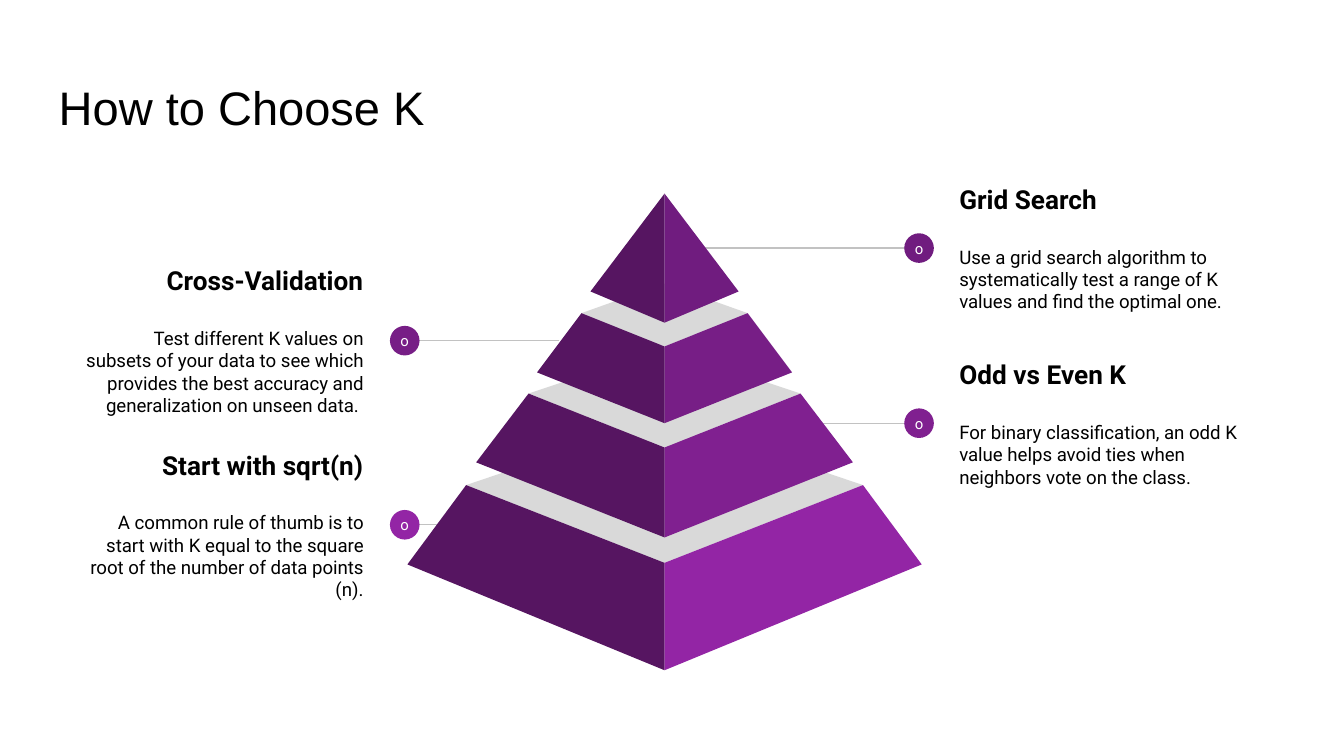
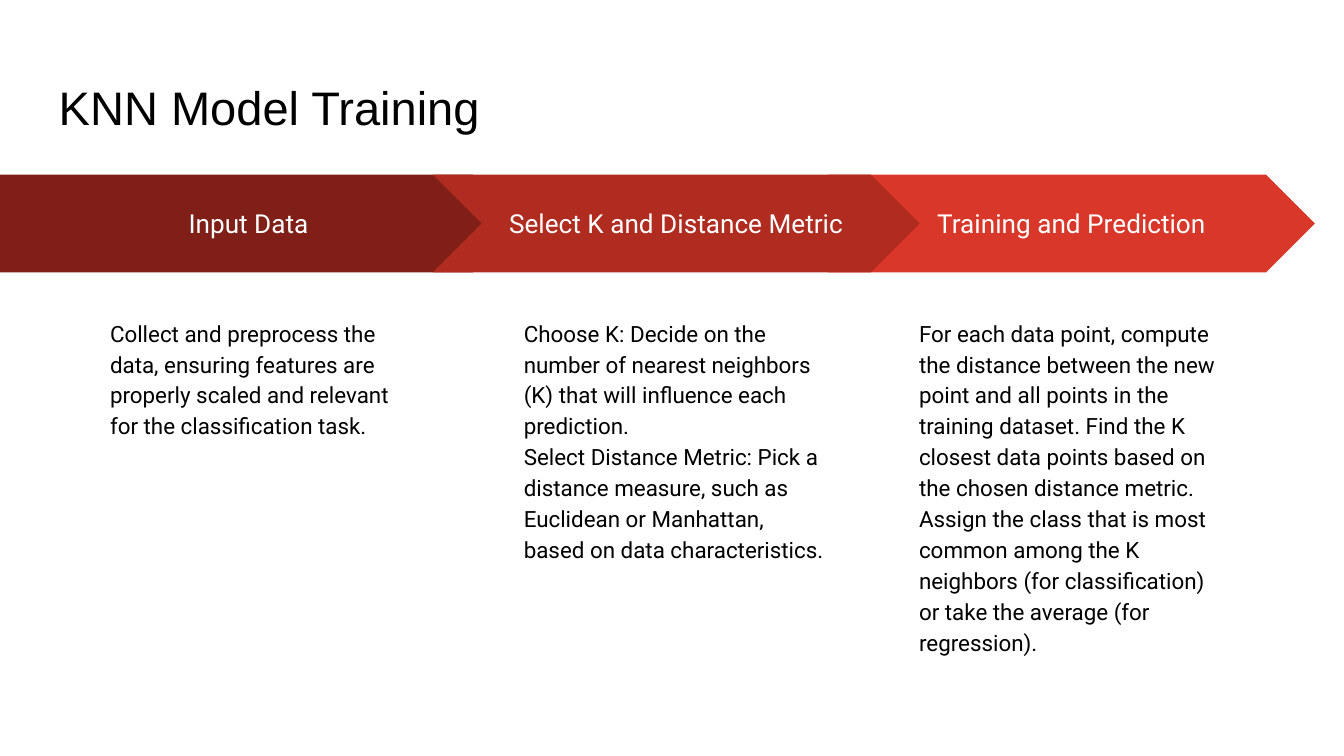
from dataclasses import dataclass

from lxml import etree
from pptx import Presentation
from pptx.dml.color import RGBColor
from pptx.enum.shapes import MSO_CONNECTOR, MSO_SHAPE
from pptx.enum.text import MSO_ANCHOR, MSO_AUTO_SIZE, PP_ALIGN
from pptx.oxml.ns import qn
from pptx.util import Cm, Pt

STRAIGHT = MSO_CONNECTOR.STRAIGHT
OVAL, CHEVRON, PENTAGON = MSO_SHAPE.OVAL, MSO_SHAPE.CHEVRON, MSO_SHAPE.PENTAGON
TOP, MIDDLE = MSO_ANCHOR.TOP, MSO_ANCHOR.MIDDLE
LEFT, CENTER, RIGHT = PP_ALIGN.LEFT, PP_ALIGN.CENTER, PP_ALIGN.RIGHT

COLORS = {
    "ink": "000000", "paper": "FFFFFF", "rule": "C2C2C2",
    "tier_top": "D9D9D9", "tier_shade": "561561",
    "plum_1": "701C7F", "plum_2": "771E86", "plum_3": "802090", "plum_4": "9325A5",
    "red_1": "801F17", "red_2": "B02B20", "red_3": "D83729",
}
TITLE_FONT, BODY_FONT = "Arial", "Roboto"
INSET = 0.25

# Pyramid and callout geometry, in centimetres
AXIS_X = 12.56
DOT_SIZE = 0.56
NOTE_WIDTH, NOTE_HEIGHT = 5.77, 2.92
HEADING_GAP = 16.4

# Process geometry, in centimetres
ARROW_TOP, ARROW_HEIGHT = 3.3, 1.85
DETAIL_TOP, DETAIL_WIDTH, DETAIL_HEIGHT = 5.72, 6.22, 7.26


@dataclass
class Side:
    note_left: float
    dot_x: float
    align: PP_ALIGN


@dataclass
class Callout:
    heading: str
    advice: str
    side: Side
    center_y: float
    tier_x: float
    color: str


@dataclass
class Tier:
    """Half widths from the axis, and heights of the visible corners."""
    half_top: float
    half_bottom: float
    back_y: float
    top_outer_y: float
    top_front_y: float
    bottom_outer_y: float
    bottom_front_y: float
    color: str


@dataclass
class Step:
    label: str
    details: list[str]
    preset: MSO_SHAPE
    left: float
    width: float
    detail_left: float
    color: str


LEFT_SIDE = Side(1.35, 7.65, RIGHT)
RIGHT_SIDE = Side(17.88, 17.37, LEFT)

CALLOUTS = [
    Callout("Grid Search",
            "Use a grid search algorithm to systematically test a range of K values "
            "and find the optimal one.",
            RIGHT_SIDE, 4.69, 13.31, "plum_1"),
    Callout("Cross-Validation",
            "Test different K values on subsets of your data to see which provides "
            "the best accuracy and generalization on unseen data. ",
            LEFT_SIDE, 6.44, 10.57, "plum_2"),
    Callout("Odd vs Even K",
            "For binary classification, an odd K value helps avoid ties when "
            "neighbors vote on the class.",
            RIGHT_SIDE, 8.0, 15.49, "plum_3"),
    Callout("Start with sqrt(n)",
            "A common rule of thumb is to start with K equal to the square root of "
            "the number of data points (n).",
            LEFT_SIDE, 9.92, 10.57, "plum_4"),
]

# From the base up, so that each tier stands on the one below
TIERS = [
    Tier(3.75, 4.86, 7.9, 9.17, 10.64, 10.67, 12.67, "plum_4"),
    Tier(2.57, 3.56, 6.58, 7.44, 8.46, 8.74, 10.16, "plum_3"),
    Tier(1.57, 2.41, 5.36, 5.92, 6.55, 7.04, 8.0, "plum_2"),
    Tier(0, 1.4, 3.66, 3.66, 3.66, 5.51, 6.1, "plum_1"),
]

# From back to front: the middle arrow overlaps both neighbours
STEPS = [
    Step("Training and Prediction",
         ["For each data point, compute the distance between the new point and all "
          "points in the training dataset. Find the K closest data points based on "
          "the chosen distance metric. Assign the class that is most common among "
          "the K neighbors (for classification) or take the average (for regression)."],
         CHEVRON, 15.65, 9.2, 17.12, "red_3"),
    Step("Input Data",
         ["Collect and preprocess the data, ensuring features are properly scaled "
          "and relevant for the classification task."],
         PENTAGON, 0, 9.86, 1.83, "red_1"),
    Step("Select K and Distance Metric",
         ["Choose K: Decide on the number of nearest neighbors (K) that will "
          "influence each prediction.",
          "Select Distance Metric: Pick a distance measure, such as Euclidean or "
          "Manhattan, based on data characteristics."],
         CHEVRON, 8.18, 9.2, 9.65, "red_2"),
]


def rgb(name: str) -> RGBColor:
    return RGBColor.from_string(COLORS[name])


def set_frame(frame, anchor: MSO_ANCHOR, inset: float = INSET, wrap: bool = True) -> None:
    frame.auto_size = MSO_AUTO_SIZE.NONE
    frame.word_wrap = wrap
    frame.vertical_anchor = anchor
    frame.margin_left = frame.margin_right = Cm(inset)
    frame.margin_top = frame.margin_bottom = Cm(inset)


def write(paragraph, text: str, size: float, color: str = "ink", align: PP_ALIGN = LEFT,
          bold: bool = False, font: str = BODY_FONT) -> None:
    paragraph.alignment = align
    run = paragraph.add_run()
    run.text = text
    run.font.name = font
    run.font.size = Pt(size)
    run.font.bold = bold
    run.font.color.rgb = rgb(color)


def paint(shape, color: str) -> None:
    shape.shadow.inherit = False
    shape.fill.solid()
    shape.fill.fore_color.rgb = rgb(color)
    shape.line.fill.background()


def add_titled_slide(prs, text: str):
    slide = prs.slides.add_slide(prs.slide_layouts[5])
    title = slide.shapes.title
    title.left, title.top, title.width, title.height = Cm(0.86), Cm(1.24), Cm(23.67), Cm(1.6)
    set_frame(title.text_frame, TOP)
    write(title.text_frame.paragraphs[0], text, 25.2, font=TITLE_FONT)
    return slide


def add_frame(slide, left: float, top: float, width: float, height: float,
              anchor: MSO_ANCHOR):
    frame = slide.shapes.add_textbox(Cm(left), Cm(top), Cm(width), Cm(height)).text_frame
    set_frame(frame, anchor)
    return frame


def add_callout(slide, callout: Callout) -> None:
    side, y = callout.side, callout.center_y
    note = add_frame(slide, side.note_left, y - NOTE_HEIGHT / 2, NOTE_WIDTH, NOTE_HEIGHT,
                     MIDDLE)
    heading = note.paragraphs[0]
    heading.space_after = Pt(HEADING_GAP)
    write(heading, callout.heading, 14, align=side.align, bold=True)
    write(note.add_paragraph(), callout.advice, 10, align=side.align)

    leader = slide.shapes.add_connector(STRAIGHT, Cm(callout.tier_x), Cm(y),
                                        Cm(side.dot_x), Cm(y))
    leader.line.color.rgb = rgb("rule")
    leader.line.width = Pt(0.75)
    etree.SubElement(leader.element.spPr, qn("a:effectLst"))

    dot = slide.shapes.add_shape(OVAL, Cm(side.dot_x - DOT_SIZE / 2), Cm(y - DOT_SIZE / 2),
                                 Cm(DOT_SIZE), Cm(DOT_SIZE))
    paint(dot, callout.color)
    set_frame(dot.text_frame, MIDDLE, inset=0, wrap=False)
    write(dot.text_frame.paragraphs[0], "o", 8, "paper", CENTER)


def add_face(slide, corners: list[tuple[float, float]], color: str) -> None:
    points = [(Cm(x), Cm(y)) for x, y in dict.fromkeys(corners)]
    builder = slide.shapes.build_freeform(*points[0])
    builder.add_line_segments(points[1:], close=True)
    paint(builder.convert_to_shape(), color)


def add_tier(slide, tier: Tier) -> None:
    if tier.half_top:
        add_face(slide, [(AXIS_X - tier.half_top, tier.top_outer_y),
                         (AXIS_X, tier.top_front_y),
                         (AXIS_X + tier.half_top, tier.top_outer_y),
                         (AXIS_X, tier.back_y)], "tier_top")
    for direction, color in ((-1, "tier_shade"), (1, tier.color)):
        add_face(slide, [(AXIS_X + direction * tier.half_top, tier.top_outer_y),
                         (AXIS_X, tier.top_front_y),
                         (AXIS_X, tier.bottom_front_y),
                         (AXIS_X + direction * tier.half_bottom, tier.bottom_outer_y)],
                 color)


def add_step(slide, step: Step) -> None:
    arrow = slide.shapes.add_shape(step.preset, Cm(step.left), Cm(ARROW_TOP),
                                   Cm(step.width), Cm(ARROW_HEIGHT))
    arrow.adjustments[0] = 0.5
    paint(arrow, step.color)
    set_frame(arrow.text_frame, MIDDLE)
    write(arrow.text_frame.paragraphs[0], step.label, 14, "paper", CENTER)

    frame = add_frame(slide, step.detail_left, DETAIL_TOP, DETAIL_WIDTH, DETAIL_HEIGHT, TOP)
    for index, detail in enumerate(step.details):
        paragraph = frame.add_paragraph() if index else frame.paragraphs[0]
        paragraph.line_spacing = 1.15
        write(paragraph, detail, 12)


def main() -> None:
    prs = Presentation()
    prs.slide_width, prs.slide_height = Cm(25.4), Cm(14.29)

    # Choosing K: callouts around a pyramid
    choosing = add_titled_slide(prs, "How to Choose K")
    for callout in CALLOUTS:
        add_callout(choosing, callout)
    for tier in TIERS:
        add_tier(choosing, tier)

    # Training: three steps in a row
    training = add_titled_slide(prs, "KNN Model Training")
    for step in STEPS:
        add_step(training, step)

    prs.save("out.pptx")


if __name__ == "__main__":
    main()
